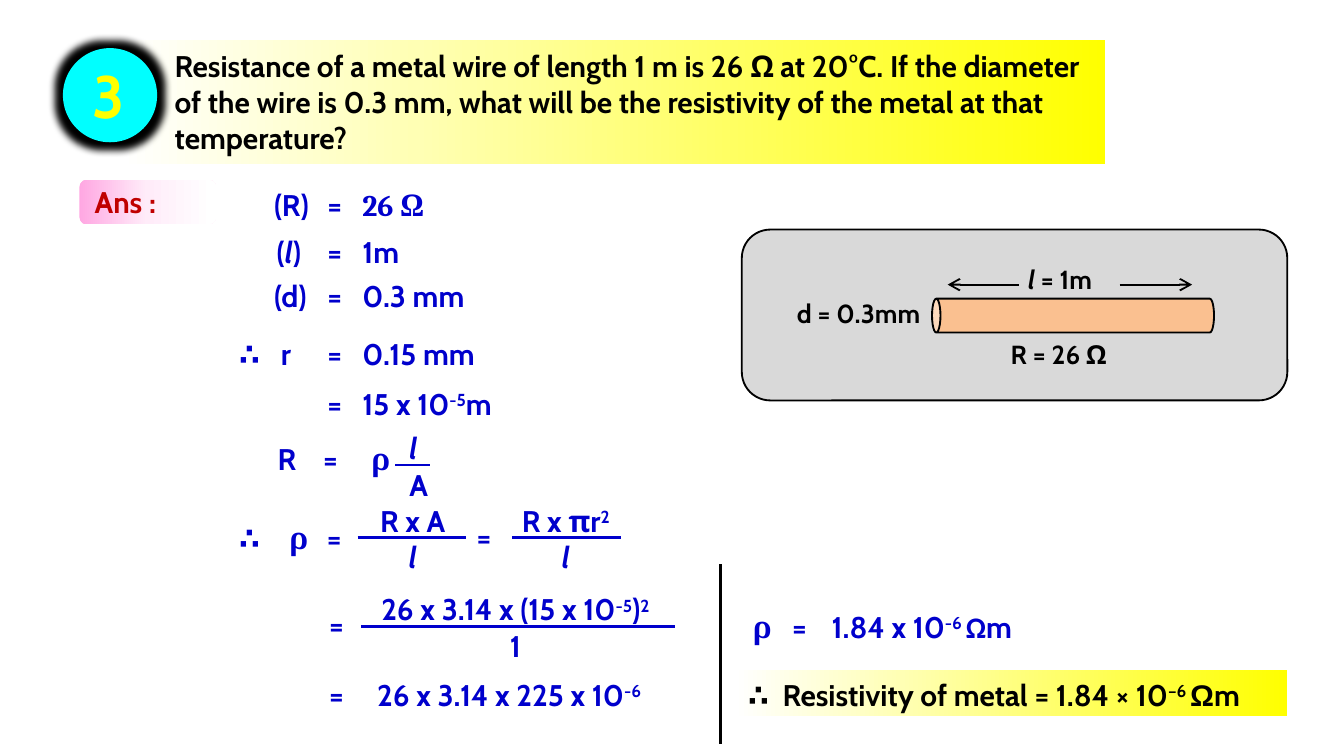
import copy
import pptx
import pptx.util
import pptx.dml.color
import pptx.enum.shapes
import pptx.enum.text
import pptx.oxml
import pptx.oxml.ns

Cm = pptx.util.Cm
Pt = pptx.util.Pt
qn = pptx.oxml.ns.qn
RGB = pptx.dml.color.RGBColor.from_string
MSO_SHAPE = pptx.enum.shapes.MSO_SHAPE
ANCHOR = pptx.enum.text.MSO_ANCHOR
ALIGN = pptx.enum.text.PP_ALIGN
NS = pptx.oxml.ns.nsdecls("a")

COLORS = {
    "black": "000000", "blue": "0000CC", "red": "C00000", "yellow": "FFFF00",
    "pale_yellow": "FFFFB4", "white": "FFFFFF", "pink": "FFA7E2",
    "pale_pink": "FFECF9", "cyan": "00FFFF", "grey": "D9D9D9", "copper": "FAC090",
}

presentation = pptx.Presentation()
presentation.slide_width = Cm(25.4)
presentation.slide_height = Cm(14.29)
slide = presentation.slides.add_slide(presentation.slide_layouts[6])
shapes = slide.shapes


def write(text, at=None, host=None, size=16, color="blue", font="Cabin",
          align=ALIGN.LEFT, anchor=ANCHOR.TOP, wrap=True, grow=True, tabs=()):
    host = host or shapes.add_textbox(*[Cm(n) for n in at])
    frame = host.text_frame
    frame.word_wrap = wrap
    frame.vertical_anchor = anchor
    if grow:
        frame.auto_size = pptx.enum.text.MSO_AUTO_SIZE.SHAPE_TO_FIT_TEXT
    paragraph = frame.paragraphs[0]
    paragraph.alignment = align
    if tabs:
        stops = "".join(f'<a:tab pos="{Cm(n)}" algn="l"/>' for n in tabs)
        paragraph._p.get_or_add_pPr().append(
            pptx.oxml.parse_xml(f"<a:tabLst {NS}>{stops}</a:tabLst>"))
    for words, style in [(text, {})] if isinstance(text, str) else text:
        run = paragraph.add_run()
        run.text = words
        run.font.size = Pt(size)
        run.font.bold = True
        run.font.italic = style.get("italic", False)
        run.font.name = style.get("font", font)
        run.font.color.rgb = RGB(COLORS[color])
        if style.get("raised"):
            run.font._element.set("baseline", "30000")
    return host


def rule(x1, y1, x2, y2, color="black", width=1.5, arrow=False):
    line = shapes.add_connector(pptx.enum.shapes.MSO_CONNECTOR.STRAIGHT,
                                Cm(x1), Cm(y1), Cm(x2), Cm(y2))
    line.line.color.rgb = RGB(COLORS[color])
    line.line.width = Pt(width)
    if arrow:
        line.line._get_or_add_ln().append(
            pptx.oxml.parse_xml(f'<a:tailEnd {NS} type="arrow"/>'))
    line._element.spPr.append(pptx.oxml.parse_xml(f"<a:effectLst {NS}/>"))


italic = {"italic": True}
raised = {"raised": True}
cambria = {"font": "Cambria"}
ell = [("l", italic)]

yellow_fade = [("yellow", 0), ("pale_yellow", 0.7), ("white", 1)]
pink_fade = [("pink", 0), ("pale_pink", 0.49), ("white", 0.98)]
faded = []
for kind, at, fade, angle in [
    (MSO_SHAPE.ROUNDED_RECTANGLE, (2.29, 0.76, 18.59, 2.34), yellow_fade, 180),
    (MSO_SHAPE.ROUNDED_RECTANGLE, (1.5, 3.4, 2.59, 0.84), pink_fade, 0),
    (MSO_SHAPE.RECTANGLE, (13.89, 12.67, 10.44, 0.86), yellow_fade, 180),
]:
    band = shapes.add_shape(kind, *[Cm(n) for n in at])
    band.shadow.inherit = False
    band.line.fill.background()
    band.fill.gradient()
    band.fill.gradient_angle = angle
    stop_list = band._element.spPr.find(".//" + qn("a:gsLst"))
    stop_list.append(copy.deepcopy(stop_list[1]))
    for stop, (color, position) in zip(band.fill.gradient_stops, fade):
        stop.color.rgb = RGB(COLORS[color])
        stop.position = position
    faded.append(band)
question_band, answer_tag, conclusion = faded
question_band.adjustments[0] = 0

solid = []
for kind, at, color, outlined in [
    (MSO_SHAPE.OVAL, (1.19, 0.91, 1.78, 1.78), "cyan", False),
    (MSO_SHAPE.ROUNDED_RECTANGLE, (14.02, 4.34, 10.31, 3.23), "grey", True),
    (MSO_SHAPE.CAN, (19.96, 3.3, 0.64, 5.33), "copper", True),
]:
    part = shapes.add_shape(kind, *[Cm(n) for n in at])
    part.shadow.inherit = False
    part.fill.solid()
    part.fill.fore_color.rgb = RGB(COLORS[color])
    if outlined:
        part.line.color.rgb = RGB(COLORS["black"])
        part.line.width = Pt(1)
    else:
        part.line.fill.background()
    solid.append(part)
badge, diagram_panel, wire = solid
wire.rotation = 270
badge._element.spPr.find(qn("a:effectLst")).append(pptx.oxml.parse_xml(
    f'<a:glow {NS} rad="{Pt(8)}"><a:srgbClr val="{COLORS["black"]}"/></a:glow>'))

write("Resistance of a metal wire of length 1 m is 26 Ω at 20°C. If the diameter "
      "of the wire is 0.3 mm, what will be the resistivity of the metal at that "
      "temperature?", (3.05, 0.51, 17.7, 2.82), color="black",
      anchor=ANCHOR.MIDDLE, grow=False)
number = write("3", (1.5, 0.99, 1.12, 1.63), size=32, color="yellow",
               align=ALIGN.CENTER, wrap=False)
number.text_frame.paragraphs[0].runs[0].font._element.insert(0, pptx.oxml.parse_xml(
    f'<a:ln {NS} w="{Pt(1.5)}"><a:solidFill><a:srgbClr val="{COLORS["black"]}"/>'
    "</a:solidFill></a:ln>"))
write("Ans :", host=answer_tag, color="red", anchor=ANCHOR.MIDDLE, grow=False)
write([("∴\tResistivity of metal = 1.84 × 10", {}), ("–6 ", raised),
       ("Ω", {"font": "Arial"}), ("m", {})],
      host=conclusion, color="black", grow=False, tabs=[0.65])

for symbol, left, width, top in [
    ("(R)", 4.93, 1.35, 3.4),
    ([("(", {}), ("l", italic), (")", {})], 4.98, 1.32, 4.29),
    ("(d)", 4.93, 1.37, 5.13),
    ("∴\tr", 4.27, 1.93, 6.22),
]:
    write(symbol, (left, top, width, 0.94), tabs=[0.79])

for value, width, top in [
    ([("=\t", {}), ("26 Ω", cambria)], 2.49, 3.4),
    ("=\t1m", 2.13, 4.29),
    ("=\t0.3 mm", 3.23, 5.13),
    ("=\t0.15 mm", 3.45, 6.22),
    ([("=\t15 x 10", {}), ("-5", raised), ("m", {})], 4.22, 7.16),
]:
    write(value, (5.94, top, width, 0.94), wrap=False, tabs=[0.66])

for term, left, top, width, tabs in [
    ("R\t=", 5, 8.2, 1.93, [0.86]),
    ([("ρ", cambria)], 6.76, 8.2, 0.97, []),
    ([("∴\t", {}), ("ρ\t", cambria), ("=", {})], 4.27, 9.7, 2.67, [0.94, 1.66]),
    ("=", 8.76, 9.68, 0.79, []),
    ("=", 5.97, 11.35, 0.79, []),
    ("=", 5.97, 12.67, 0.79, []),
    ([("26 x 3.14 x 225 x 10", {}), ("-6", raised)], 6.88, 12.67, 5.99, []),
    ([("ρ\t", cambria), ("=", {})], 13.97, 11.38, 1.7, [0.75]),
    ([("1.84 x 10", {}), ("-6 ", raised), ("Ω", {"font": "Calibri"}), ("m", {})],
     15.47, 11.38, 4.22, []),
]:
    write(term, (left, top, width, 0.94), tabs=tabs)

for numerator, denominator, left, width, top, bar_start, bar_end in [
    (ell, "A", 7.49, 0.61, 8, 7.47, 8.13),
    ("R x A", ell, 6.68, 2.24, 9.37, 6.76, 8.81),
    ([("R x πr", {}), ("2", raised)], ell, 9.4, 2.59, 9.37, 9.68, 11.73),
    ([("26 x 3.14 x (15 x 10", {}), ("-5", raised), (")", {}), ("2", raised)],
     "1", 6.73, 6.02, 11.05, 6.83, 12.75),
]:
    write(numerator, (left, top, width, 0.94), align=ALIGN.CENTER)
    write(denominator, (left, top + 0.69, width, 0.94), align=ALIGN.CENTER)
    rule(bar_start, top + 0.79, bar_end, top + 0.79, color="blue")

for measure, left, top, width in [
    ([("l ", italic), ("= 1m", {})], 19.18, 4.85, 1.93),
    ("d = 0.3mm", 14.81, 5.49, 3),
    ("R = 26 Ω", 18.85, 6.27, 2.44),
]:
    write(measure, (left, top, width, 0.86), size=14, color="black", wrap=False)

for inner, tip in [(19.25, 17.91), (21.16, 22.53)]:
    rule(inner, 5.38, tip, 5.38, width=1, arrow=True)
rule(13.61, 10.67, 13.61, 14.07)

presentation.save("out.pptx")
